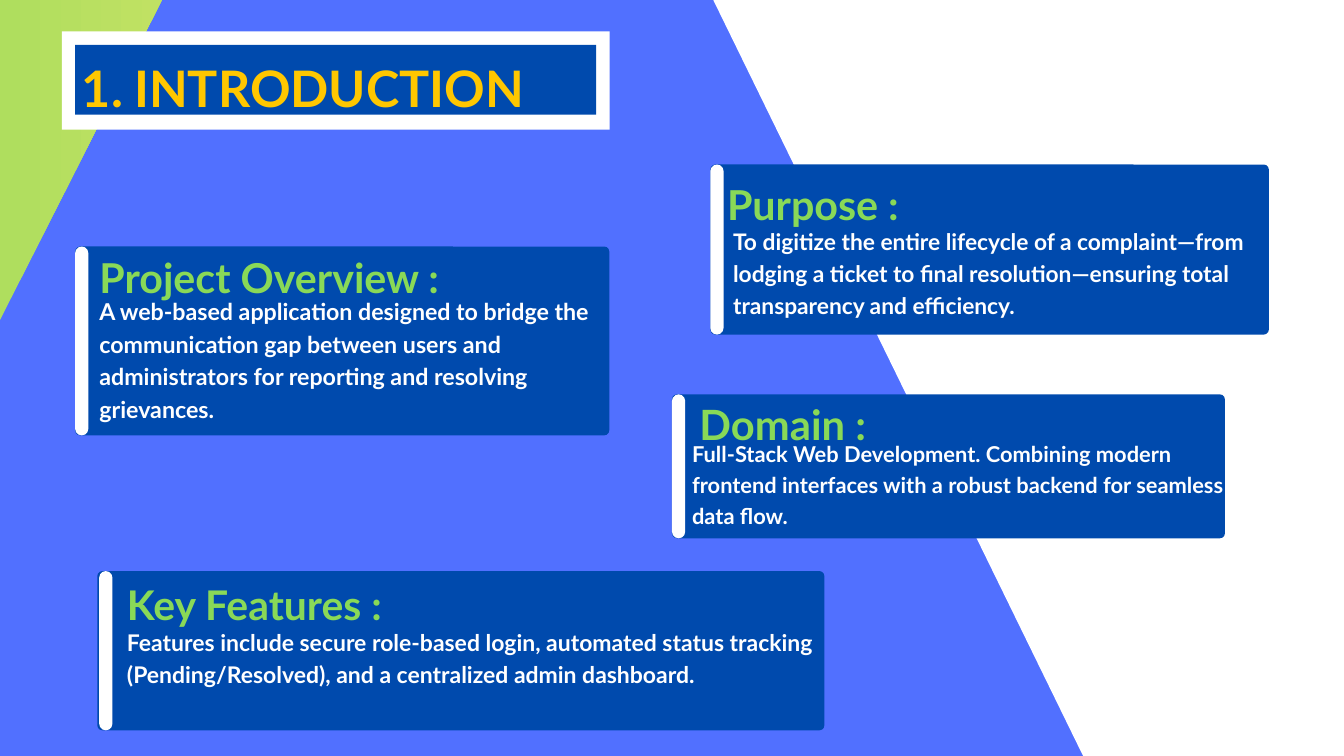
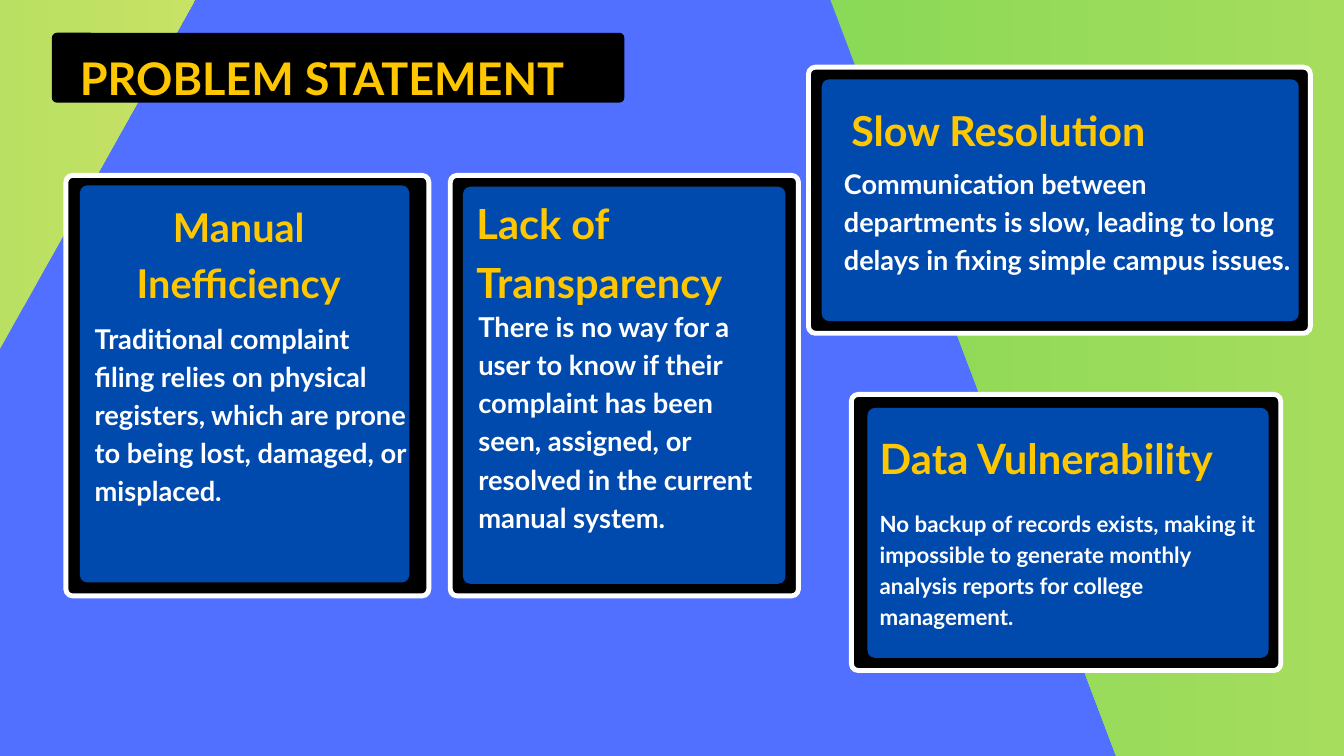
from dataclasses import dataclass

from lxml.etree import SubElement as Sub
from pptx import Presentation
from pptx.dml.color import RGBColor as Rgb
from pptx.enum.shapes import MSO_SHAPE as Kind
from pptx.enum.text import PP_ALIGN as Align
from pptx.oxml.ns import qn
from pptx.util import Cm, Pt


@dataclass(frozen=True)
class Theme:
    """Hold the colours, type sizes and measures that the slides share."""
    font: str = "Lato"
    sky: str = "5170FF"
    navy: str = "004AAD"
    gold: str = "FFC700"
    lime: str = "89D957"
    white: str = "FFFFFF"
    black: str = "000000"
    titles: tuple = (53.9, 48.2)
    heads: tuple = ((44.1, 44.2, 44.7, 43.8), (42.5, 44.5, 44.2, 44.7))
    texts: tuple = ((24.9, 24.4, 23.4, 24.6), (29.2, 29.3, 29, 23.9))
    lead: float = 1.4
    edge: float = 5.25
    bar: float = 0.5
    wide: float = 50.8
    high: float = 28.58


T = Theme()
CM_PER_PT = 2.54 / 72


def paint(shape, *hues):
    """Fill a shape with one colour, or a left to right blend of two."""
    shape.shadow.inherit = False
    shape.line.fill.background()
    if len(hues) == 1:
        shape.fill.solid()
        shape.fill.fore_color.rgb = Rgb.from_string(hues[0])
    else:
        shape.fill.gradient()
        shape.fill.gradient_angle = 0
        for stop, hue in zip(shape.fill.gradient_stops, hues):
            stop.color.rgb = Rgb.from_string(hue)


def wedge(slide, points, *hues):
    """Draw a slanted backdrop through points given in centimetres."""
    spots = [(Cm(x), Cm(y)) for x, y in points]
    pen = slide.shapes.build_freeform(*spots[0])
    pen.add_line_segments(spots[1:], close=True)
    paint(pen.convert_to_shape(), *hues)


def panel(slide, box, hue, curve=0.0, edge=None):
    """Draw a box, with corners of the given radius and an optional edge."""
    kind = Kind.ROUNDED_RECTANGLE if curve else Kind.RECTANGLE
    shape = slide.shapes.add_shape(kind, *map(Cm, box))
    if curve:
        shape.adjustments[0] = curve / min(box[2:])
    paint(shape, hue)
    if edge:
        shape.line.color.rgb = Rgb.from_string(edge)
        shape.line.width = Pt(T.edge)


def text(slide, words, spot, *, size, hue, lines=1, align=Align.LEFT, number=False):
    """Write bold text at a left, top and width, numbered if asked."""
    high = lines * size * T.lead * CM_PER_PT
    frame = slide.shapes.add_textbox(*map(Cm, (*spot, high))).text_frame
    frame.word_wrap = True
    frame.margin_left = frame.margin_right = 0
    frame.margin_top = frame.margin_bottom = 0
    para = frame.paragraphs[0]
    para.text = words
    para.alignment = align
    para.line_spacing = Pt(round(size * T.lead, 1))
    if number:
        props = para._p.get_or_add_pPr()
        props.set("marL", str(Cm(3.58)))
        props.set("indent", str(Cm(-1.98)))
        Sub(props, qn("a:buFont"), typeface=T.font)
        Sub(props, qn("a:buAutoNum"), type="arabicPeriod")
    font = para.runs[0].font
    font.name, font.size, font.bold = T.font, Pt(size), True
    font.color.rgb = Rgb.from_string(hue)


def page(deck):
    """Add a blank slide with the shared backdrop colour."""
    slide = deck.slides.add_slide(deck.slide_layouts[6])
    slide.background.fill.solid()
    slide.background.fill.fore_color.rgb = Rgb.from_string(T.sky)
    return slide


def topic(slide, box, head, head_at, body, body_at, lines, sizes, inset=0.0):
    """Draw a navy card with a white bar, a lime heading and a text."""
    left, top, _, high = box
    panel(slide, box, T.navy, 0.19)
    panel(slide, (left + inset, top, T.bar, high), T.white, T.bar / 2)
    text(slide, head, head_at, size=sizes[0], hue=T.lime)
    text(slide, body, body_at, size=sizes[1], hue=T.white, lines=lines)


def issue(slide, outer, inner, head, head_at, body, body_at, lines, sizes,
          rows=1, align=Align.LEFT):
    """Draw a navy card in a black frame with a gold heading and a text."""
    panel(slide, outer, T.black, 0.26, T.white)
    panel(slide, inner, T.navy, 0.28)
    text(slide, head, head_at, size=sizes[0], hue=T.gold, lines=rows, align=align)
    text(slide, body, body_at, size=sizes[1], hue=T.white, lines=lines)


def intro(deck):
    """Build the introduction slide."""
    slide = page(deck)
    wedge(slide, [(26.96, 0), (T.wide, 0), (T.wide, T.high), (40.94, T.high)], T.white)
    wedge(slide, [(0, 0), (6.12, 0), (0, 12.1)], "AFDE5E", "C0E163")
    panel(slide, (2.34, 1.19, 20.7, 3.71), T.white)
    panel(slide, (2.84, 1.7, 19.69, 2.64), T.navy)
    text(slide, "INTRODUCTION", (1.5, 1.78, 21), size=T.titles[0], hue=T.gold, number=True)
    sizes = list(zip(T.heads[0], T.texts[0]))
    topic(slide, (2.84, 9.32, 20.19, 7.14),
          "Project Overview :", (3.76, 9.22, 14.45),
          "A web-based application designed to bridge the communication gap between "
          "users and administrators for reporting and resolving grievances.",
          (3.76, 11.07, 18.77), 4, sizes[0])
    topic(slide, (26.85, 6.22, 21.11, 6.43),
          "Purpose :", (27.48, 6.48, 14),
          "To digitize the entire lifecycle of a complaint—from lodging a ticket to "
          "final resolution—ensuring total transparency and efficiency.",
          (27.71, 8.43, 20.24), 3, sizes[1])
    topic(slide, (25.4, 14.91, 20.9, 5.44),
          "Domain :", (26.44, 14.76, 9.8),
          "Full-Stack Web Development. Combining modern frontend interfaces with a "
          "robust backend for seamless data flow.",
          (26.16, 16.51, 20.15), 3, sizes[2])
    topic(slide, (3.68, 21.59, 27.48, 6.02),
          "Key Features :", (4.8, 21.62, 26.39),
          "Features include secure role-based login, automated status tracking "
          "(Pending/Resolved), and a centralized admin dashboard.",
          (4.8, 23.6, 26.39), 2, sizes[3], inset=0.07)


def problem(deck):
    """Build the problem statement slide."""
    slide = page(deck)
    wedge(slide, [(0, 0), (7.37, 0), (0, 13.19)], "B9E062", "C8E265")
    wedge(slide, [(31.39, 0), (T.wide, 0), (T.wide, T.high), (42.19, T.high)],
          "8AD957", "A6DD5D")
    panel(slide, (1.96, 1.24, 21.64, 2.64), T.black, 0.19)
    text(slide, "PROBLEM STATEMENT", (3.02, 1.57, 19.96), size=T.titles[1], hue=T.gold)
    sizes = list(zip(T.heads[1], T.texts[1]))
    issue(slide, (2.49, 6.63, 13.72, 15.9), (3.02, 7.01, 12.45, 15.01),
          "Manual Inefficiency", (3.02, 7.37, 12.01),
          "Traditional complaint filing relies on physical registers, which are prone "
          "to being lost, damaged, or misplaced.",
          (3.58, 11.96, 11.89), 5, sizes[0], rows=2, align=Align.CENTER)
    issue(slide, (32.18, 14.91, 16.23, 10.44), (32.79, 15.42, 15.16, 9.45),
          "Data Vulnerability", (33.25, 16.05, 14.25),
          "No backup of records exists, making it impossible to generate monthly "
          "analysis reports for college management.",
          (33.25, 19.1, 14.25), 4, sizes[3])
    issue(slide, (30.56, 2.54, 18.97, 10.06), (31.06, 3, 18.03, 9.14),
          "Slow Resolution", (32.18, 3.66, 12.34),
          "Communication between departments is slow, leading to long delays in "
          "fixing simple campus issues.",
          (31.9, 6.12, 17.12), 3, sizes[2])
    issue(slide, (17.02, 6.63, 13.16, 15.9), (17.5, 7.06, 12.19, 15.01),
          "Lack of Transparency", (18.01, 7.19, 12.14),
          "There is no way for a user to know if their complaint has been seen, "
          "assigned, or resolved in the current manual system.",
          (18.08, 11.51, 11.05), 6, sizes[1], rows=2)


def main():
    """Build both slides and save the deck."""
    deck = Presentation()
    deck.slide_width, deck.slide_height = Cm(T.wide), Cm(T.high)
    intro(deck)
    problem(deck)
    deck.save("out.pptx")


if __name__ == "__main__":
    main()
